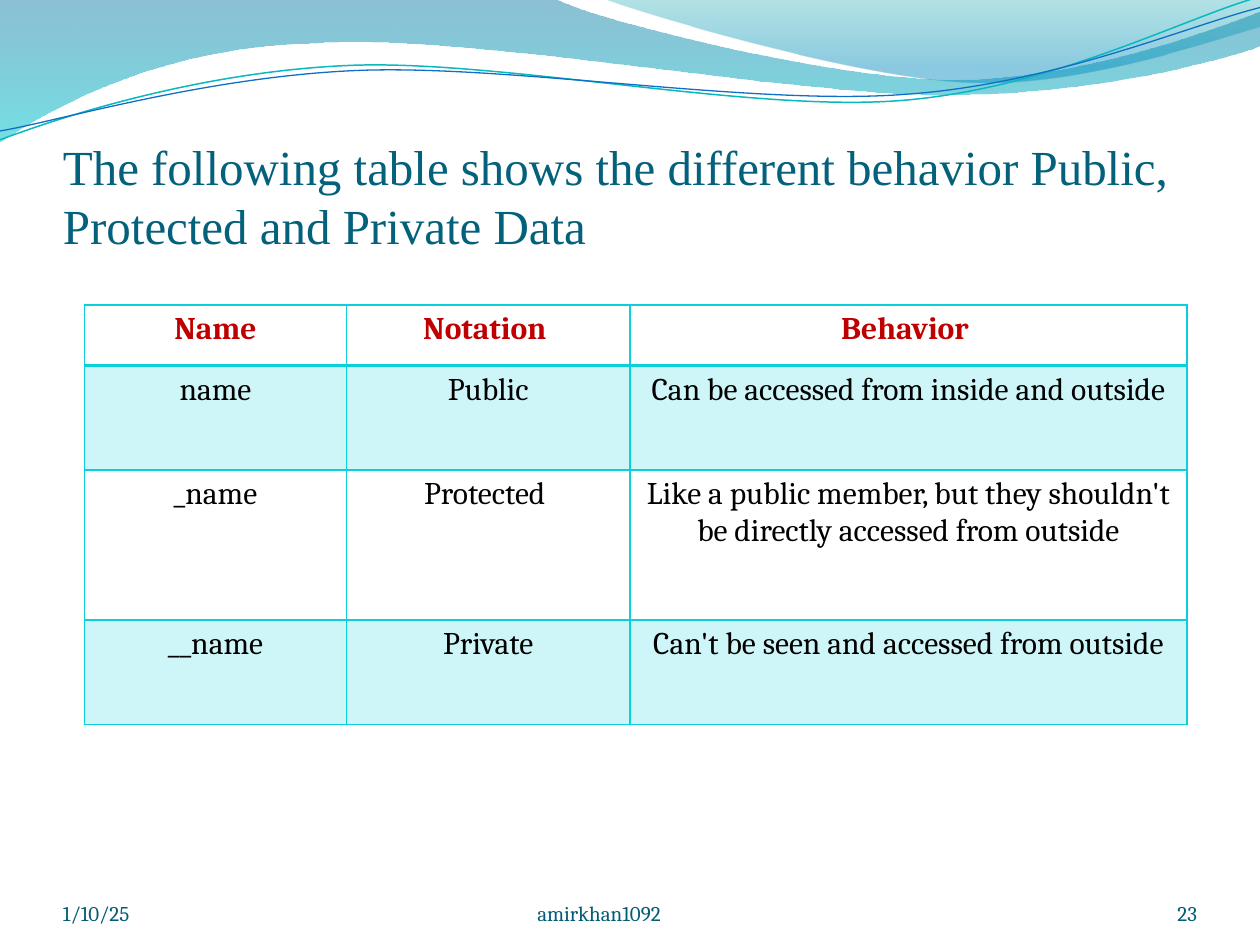
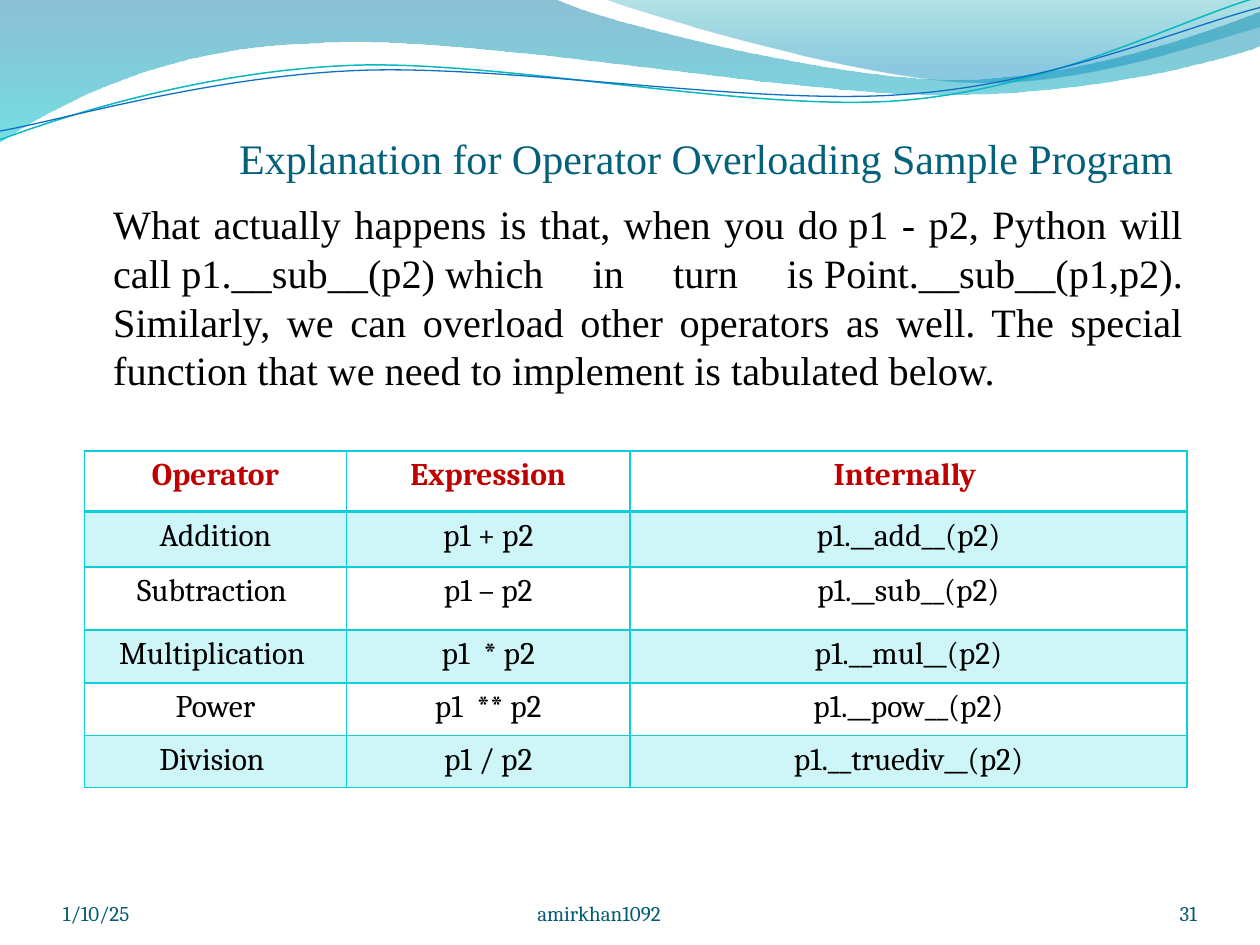
from lxml import etree
from pptx import Presentation
from pptx import util as u
from pptx.dml.color import RGBColor
from pptx.enum import text
from pptx.oxml.ns import qn

WIDTH, HEIGHT = 10, 7.5
MARGIN = 0.5
CONTENT_W = WIDTH - 2 * MARGIN
TITLE_COLOR, FOOTER_COLOR = "04617B", "045D75"
HEADER_COLOR, BODY_COLOR, GRID_COLOR = "C00000", "000000", "0BD0D9"
SERIF, SANS = "Times New Roman", "Cambria"
LEFT, CENTER, RIGHT, JUSTIFY = (getattr(text.PP_ALIGN, n)
                                for n in ("LEFT", "CENTER", "RIGHT", "JUSTIFY"))
TABLE_LEFT, TABLE_COLS = 0.67, (2.08, 2.25, 4.42)

# Each outline: a start point, then line ends (2 numbers) or cubic curves (6 numbers).
BANDS = [
    ([(0, 0), (4.4, -0.01), (4.76, 0.17, 6.64, 0.63, 7.58, 0.63),
      (8.53, 0.63, 9.58, 0.26, 10, 0.09), (10.01, 0.36),
      (9.83, 0.44, 8.7, 0.76, 7.46, 0.75), (6.22, 0.75, 3.82, 0.28, 2.57, 0.34),
      (1.29, 0.36, 0.46, 0.83, -0.01, 1.13), (0, 0)],
     [(0, "0074A1", 45), (1, "00C6CF", 55)]),
    ([(4.79, -0.01), (5.09, 0.11, 6.82, 0.62, 7.69, 0.65),
      (8.56, 0.69, 9.61, 0.32, 10, 0.21), (10, 0), (4.79, -0.01)],
     [(0, "00A1A9", 30), (0.8, "008BBF", 45)]),
]
WAVES = [
    ([(0, 1.11), (0.48, 0.93, 1.58, 0.57, 2.77, 0.52),
      (3.95, 0.47, 5.93, 0.89, 7.13, 0.8), (8.33, 0.71, 9.38, 0.15, 9.98, -0.02)],
     "0AB8BF", 0.85),
    ([(0, 1.04), (0.47, 0.96, 1.64, 0.61, 2.83, 0.56),
      (4.03, 0.51, 5.97, 0.84, 7.17, 0.75), (8.36, 0.67, 9.41, 0.21, 10, 0.06)],
     "0F6FC6", 0.75),
]

ACCESS_ROWS = [
    ("Name", "Notation ", "Behavior "),
    ("name", "Public", "Can be accessed from inside and outside"),
    ("_name", "Protected ",
     "Like a public member, but they shouldn't be directly accessed from outside"),
    ("__name", "Private", "Can't be seen and accessed from outside"),
]
OPERATOR_ROWS = [
    ("Operator", "Expression", "Internally "),
    ("Addition", "p1 + p2", "p1.__add__(p2)"),
    ("Subtraction ", "p1 – p2", "p1.__sub__(p2)"),
    ("Multiplication ", "p1  * p2", "p1.__mul__(p2)"),
    ("Power", "p1  ** p2", "p1.__pow__(p2)"),
    ("Division ", "p1 / p2", "p1.__truediv__(p2)"),
]
# A tilde stands for a no-break space.
EXPLANATION = (
    "What actually happens is that, when you do~p1 - p2, Python will "
    "call~p1.__sub__(p2)~which in turn is~Point.__sub__(p1,p2). Similarly, "
    "we can overload other operators as well. The special function that we "
    "need to implement is tabulated below."
).replace("~", chr(160))


def rgb(value):
    return RGBColor.from_string(value)


def set_all(obj, values):
    for name, value in values.items():
        setattr(obj, name, value)


def set_alpha(color_element, percent):
    etree.SubElement(color_element, qn("a:alpha"), val=str(percent * 1000))


def write(p, words, size, color, font=SANS, align=LEFT, bold=False):
    p.alignment = align
    r = p.add_run()
    r.text = words
    set_all(r.font, {"name": font, "size": u.Pt(size), "bold": bold})
    r.font.color.rgb = rgb(color)


def add_frame(s, box, insets=(0, 0, 0, 0), anchor=text.MSO_ANCHOR.BOTTOM):
    tf = s.shapes.add_textbox(*map(u.Inches, box)).text_frame
    sides = ("margin_left", "margin_top", "margin_right", "margin_bottom")
    set_all(tf, dict(zip(sides, map(u.Inches, insets)),
                     word_wrap=True, vertical_anchor=anchor))
    return tf


def trace(outline, steps=32):
    """Return points along the outline in EMU, from which its extent is known."""
    points = [outline[0]]
    for part in outline[1:]:
        if len(part) == 2:
            points.append(part)
            continue
        x0, y0 = points[-1]
        x1, y1, x2, y2, x3, y3 = part
        for i in range(1, steps + 1):
            t = i / steps
            a, b, c, d = (1 - t)**3, 3 * t * (1 - t)**2, 3 * t * t * (1 - t), t**3
            points.append((a * x0 + b * x1 + c * x2 + d * x3,
                           a * y0 + b * y1 + c * y2 + d * y3))
    return [(u.Inches(x), u.Inches(y)) for x, y in points]


def add_outline(s, outline, close):
    """Add a freeform of the outline's extent and give it true cubic curves."""
    start, *rest = trace(outline)
    builder = s.shapes.build_freeform(*start)
    builder.add_line_segments(rest, close=close)
    sp = builder.convert_to_shape()
    sp.shadow.inherit = False
    path = next(sp._element.iter(qn("a:path")))
    for child in list(path):
        path.remove(child)
    for i, part in enumerate(outline):
        tag = "a:moveTo" if i == 0 else "a:lnTo" if len(part) == 2 else "a:cubicBezTo"
        step = etree.SubElement(path, qn(tag))
        for x, y in zip(part[::2], part[1::2]):
            etree.SubElement(step, qn("a:pt"), x=str(u.Inches(x) - sp.left),
                             y=str(u.Inches(y) - sp.top))
    if close:
        etree.SubElement(path, qn("a:close"))
    return sp


def add_band(s, outline, stops):
    sp = add_outline(s, outline, True)
    sp.line.fill.background()
    sp.fill.gradient()
    sp.fill.gradient_angle = 270
    for stop, (position, color, _) in zip(sp.fill.gradient_stops, stops):
        stop.position = position
        stop.color.rgb = rgb(color)
    colors = list(sp._element.spPr.iter(qn("a:srgbClr")))
    for element, (_, _, alpha) in zip(colors, stops):
        set_alpha(element, alpha)


def add_wave(s, outline, color, width):
    sp = add_outline(s, outline, False)
    sp.fill.background()
    sp.line.color.rgb = rgb(color)
    sp.line.width = u.Pt(width)


def add_title(s, words, top, height):
    tf = add_frame(s, (MARGIN, top, CONTENT_W, height), (0, 0.05, 0, 0))
    write(tf.paragraphs[0], words, 28, TITLE_COLOR, SERIF)


def add_explanation(s, heading, words):
    """Add an indented heading with a justified paragraph below it."""
    tf = add_frame(s, (MARGIN, 0.83, CONTENT_W, 2.67), (0.1, 0.05, 0.1, 0.05),
                   text.MSO_ANCHOR.TOP)
    for p, indent, line, before, content in (
            (tf.paragraphs[0], 1.3, 41.2, 0, (heading, 24, TITLE_COLOR, SERIF)),
            (tf.add_paragraph(), 0.3, 27.8, 9.4,
             (words, 23, BODY_COLOR, SERIF, JUSTIFY))):
        write(p, *content)
        set_all(p, {"line_spacing": u.Pt(line), "space_before": u.Pt(before)})
        p._p.get_or_add_pPr().set("marL", str(u.Inches(indent)))


def add_footer(s, number):
    for left, width, words, align in ((MARGIN, 2.33, "1/10/25", LEFT),
                                      (2.92, 3.67, "amirkhan1092", CENTER),
                                      (8.67, 0.83, str(number), RIGHT)):
        tf = add_frame(s, (left, 6.95, width, 0.4))
        write(tf.paragraphs[0], words, 12, FOOTER_COLOR, align=align)


def set_borders(cell, top, bottom):
    tc_pr = cell._tc.get_or_add_tcPr()
    for i, (side, width) in enumerate((("L", 1), ("R", 1), ("T", top), ("B", bottom))):
        ln = etree.Element(qn(f"a:ln{side}"), w=str(u.Pt(width)))
        fill = etree.SubElement(ln, qn("a:solidFill"))
        etree.SubElement(fill, qn("a:srgbClr"), val=GRID_COLOR)
        tc_pr.insert(i, ln)


def fill_cell(cell, shaded):
    if not shaded:
        cell.fill.background()
        return
    cell.fill.solid()
    cell.fill.fore_color.rgb = rgb(GRID_COLOR)
    set_alpha(next(cell._tc.iter(qn("a:srgbClr"))), 20)


def add_grid(s, top, rows, heights):
    """Add a table with a red header, tinted odd rows and a thick header rule."""
    frame = s.shapes.add_table(len(rows), len(TABLE_COLS), *map(
        u.Inches, (TABLE_LEFT, top, sum(TABLE_COLS), sum(heights))))
    table = frame.table
    set_all(table, {"first_row": False, "horz_banding": False})
    for column, width in zip(table.columns, TABLE_COLS):
        column.width = u.Inches(width)
    for i, (row, height) in enumerate(zip(rows, heights)):
        table.rows[i].height = u.Inches(height)
        header = i == 0
        for j, words in enumerate(row):
            cell = table.cell(i, j)
            fill_cell(cell, i % 2 == 1)
            set_borders(cell, 2 if i == 1 else 1, 2 if header else 1)
            write(cell.text_frame.paragraphs[0], words, 18,
                  HEADER_COLOR if header else BODY_COLOR, align=CENTER, bold=header)


def new_slide(prs):
    s = prs.slides.add_slide(prs.slide_layouts[6])
    for band in BANDS:
        add_band(s, *band)
    for wave in WAVES:
        add_wave(s, *wave)
    return s


def main():
    prs = Presentation()
    set_all(prs, {"slide_width": u.Inches(WIDTH), "slide_height": u.Inches(HEIGHT)})

    s = new_slide(prs)
    add_title(s, "The following table shows the different behavior Public, "
              "Protected and Private Data", 1.08, 0.94)
    add_footer(s, 23)
    add_grid(s, 2.42, ACCESS_ROWS, (0.48, 0.83, 1.19, 0.83))

    s = new_slide(prs)
    add_explanation(s, "Explanation for Operator Overloading Sample Program", EXPLANATION)
    add_footer(s, 31)
    add_grid(s, 3.58, OPERATOR_ROWS, (0.48, 0.44, 0.5, 0.42, 0.42, 0.41))

    prs.save("out.pptx")


if __name__ == "__main__":
    main()
